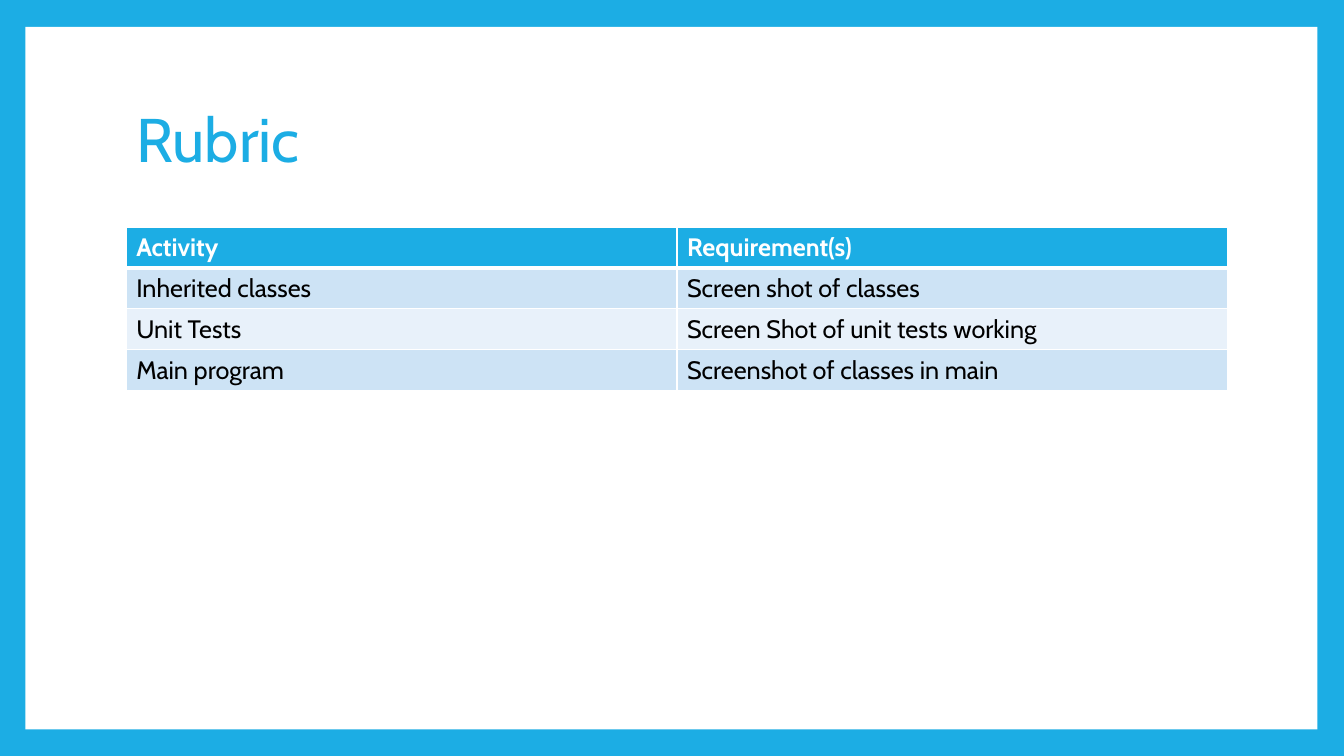
from lxml.etree import SubElement as Sub
from pptx import Presentation
from pptx.dml.color import RGBColor
from pptx.enum.shapes import MSO_SHAPE as Shape
from pptx.enum.text import MSO_ANCHOR as Anchor, PP_ALIGN as Align
from pptx.oxml.ns import qn
from pptx.util import Cm, Pt

BLUE, WHITE, BLACK = "1CADE4", "FFFFFF", "000000"
BANDS = "CDE3F5", "E8F1FA"
ROWS = [
    ("Activity", "Requirement(s)"),
    ("Inherited classes", "Screen shot of classes"),
    ("Unit Tests", "Screen Shot of unit tests working"),
    ("Main program", "Screenshot of classes in main"),
]


def paint(fill, color):
    """Fill with a solid hex colour."""
    fill.solid()
    fill.fore_color.rgb = RGBColor.from_string(color)


class Deck:
    """Holds the style and the current slide."""

    def __init__(self, font):
        """Start a wide deck with one title-only slide."""
        self.font = font
        self.prs = Presentation()
        self.prs.slide_width, self.prs.slide_height = Cm(33.87), Cm(19.05)
        self.slide = self.prs.slides.add_slide(self.prs.slide_layouts[5])
        paint(self.slide.background.fill, BLUE)

    def text(self, par, words, size, color, bold=False):
        """Add one styled run."""
        run = par.add_run()
        run.text = words
        run.font.name, run.font.size, run.font.bold = self.font, Pt(size), bold
        paint(run.font.fill, color)

    def panel(self, x, y, w, h, color):
        """Add a plain rectangle behind everything else."""
        shape = self.slide.shapes.add_shape(Shape.RECTANGLE, Cm(x), Cm(y), Cm(w), Cm(h))
        shape.shadow.inherit = False
        paint(shape.fill, color)
        shape.line.fill.background()
        self.slide.shapes._spTree.insert(2, shape._element)

    def title(self, words, x, y, w, h):
        """Place and fill the title."""
        title = self.slide.shapes.title
        title.left, title.top, title.width, title.height = Cm(x), Cm(y), Cm(w), Cm(h)
        title.text_frame.vertical_anchor = Anchor.MIDDLE
        par = title.text_frame.paragraphs[0]
        par.alignment, par.line_spacing = Align.LEFT, 0.9
        self.text(par, words, 44, BLUE)

    def edge(self, cell, side, width):
        """Draw one white cell border."""
        line = Sub(cell._tc.get_or_add_tcPr(), qn("a:ln" + side), w=str(Pt(width)))
        Sub(Sub(line, qn("a:solidFill")), qn("a:srgbClr"), val=WHITE)

    def table(self, rows, x, y, w, high):
        """Add a table with a header row and banded body."""
        table = self.slide.shapes.add_table(
            len(rows), len(rows[0]), Cm(x), Cm(y), Cm(w), Cm(high * len(rows))).table
        for r, row in enumerate(rows):
            head = r == 0
            for c, words in enumerate(row):
                cell = table.cell(r, c)
                for side in "LRTB":
                    thick = (r, side) in ((0, "B"), (1, "T"))
                    self.edge(cell, side, 3 if thick else 1)
                paint(cell.fill, BLUE if head else BANDS[(r - 1) % 2])
                par = cell.text_frame.paragraphs[0]
                self.text(par, words, 18, WHITE if head else BLACK, head)


def main():
    """Build the rubric slide."""
    deck = Deck("Cabin")
    deck.panel(0.64, 0.68, 32.56, 17.7, WHITE)
    deck.title("Rubric", 3.18, 1.7, 27.43, 3.76)
    deck.table(ROWS, 3.18, 5.72, 27.76, 1.03)
    deck.prs.save("out.pptx")


if __name__ == "__main__":
    main()
